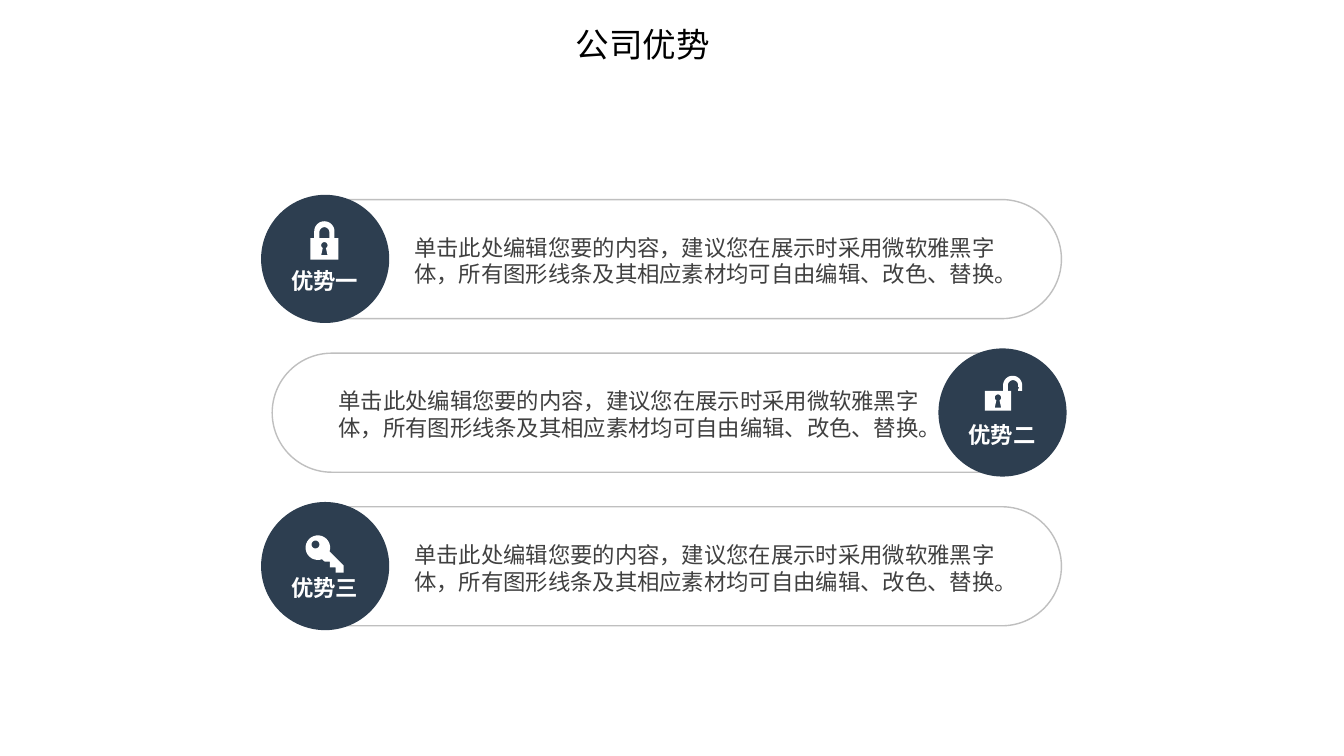
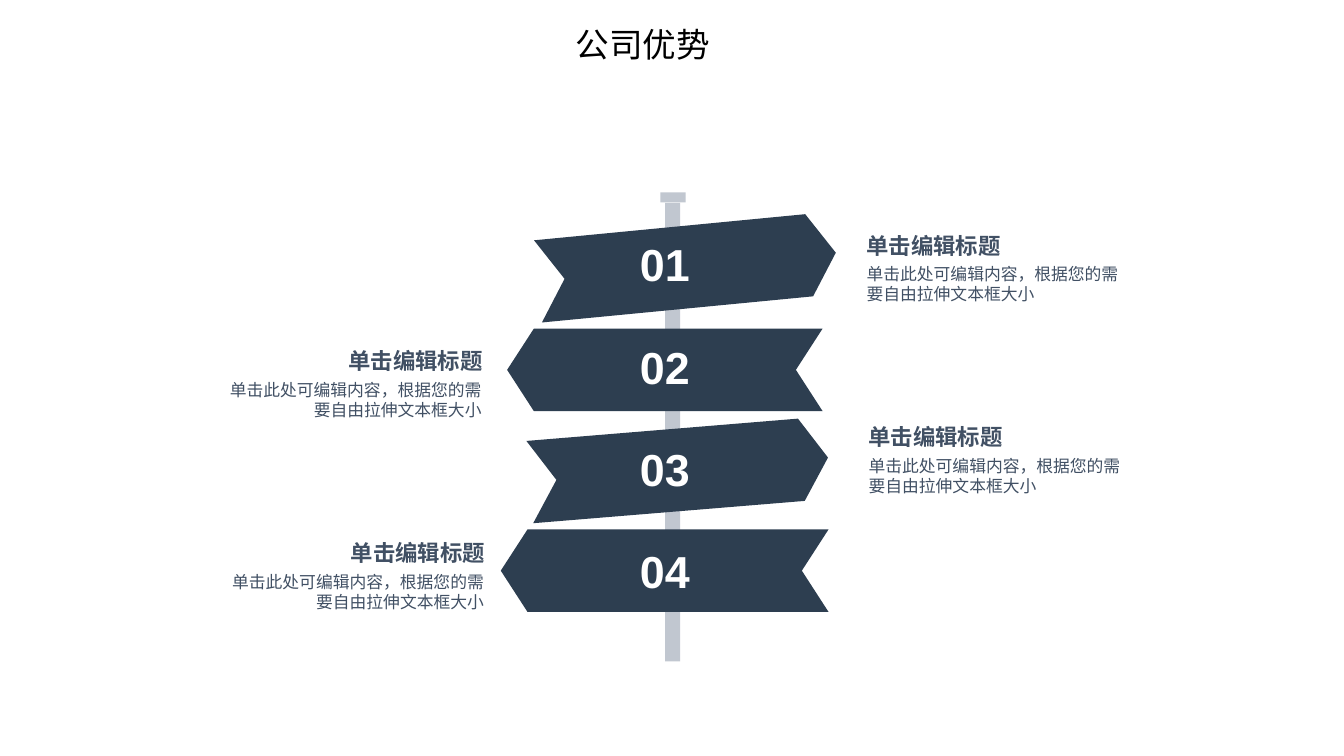
from dataclasses import dataclass
from math import cos, radians, sin

from pptx import Presentation
from pptx import util as u
from pptx.dml.color import RGBColor
from pptx.enum import shapes, text
from pptx.oxml import parse_xml
from pptx.oxml.ns import nsdecls


@dataclass(frozen=True)
class Theme:
    """Colours, fonts and type sizes of the deck."""

    navy: str = "2D3E50"
    slate: str = "415064"
    grey: str = "C1C7D0"
    rule: str = "BFBFBF"
    ink: str = "404040"
    black: str = "000000"
    white: str = "FFFFFF"
    latin: str = "Arial"
    han: str = "Noto Sans CJK SC"
    title: int = 24
    label: int = 16
    small: int = 12
    digit: int = 32


T = Theme()
KIND = shapes.MSO_SHAPE
LEFT, MID, RIGHT = text.PP_ALIGN.LEFT, text.PP_ALIGN.CENTER, text.PP_ALIGN.RIGHT
NOTE = "单击此处编辑您要的内容，建议您在展示时采用微软雅黑字体，所有图形线条及其相应素材均可自由编辑、改色、替换。"
HINT = "单击此处可编辑内容，根据您的需要自由拉伸文本框大小"


def place(x, y, w, h):
    """Turn centimetres into a position and a size."""
    return [u.Cm(n) for n in (x, y, w, h)]


def write(frame, words, size=T.label, color=T.ink, font=T.latin, bold=False, align=LEFT):
    """Set one formatted paragraph in a text frame."""
    frame.word_wrap = True
    frame.vertical_anchor = text.MSO_ANCHOR.TOP
    par = frame.paragraphs[0]
    par.alignment = align
    run = par.add_run()
    run.text = words
    run.font.size = u.Pt(size)
    run.font.bold = bold
    run.font.name = font
    run.font.color.rgb = RGBColor.from_string(color)
    east = parse_xml(f'<a:ea {nsdecls("a")} typeface="{T.han}"/>')
    run.font._element.append(east)


def label(pool, box, words, **form):
    """Add a text box without insets."""
    frame = pool.add_textbox(*place(*box)).text_frame
    frame.margin_left = frame.margin_right = 0
    frame.margin_top = frame.margin_bottom = 0
    write(frame, words, **form)


def paint(item, fill=None, line=None):
    """Give a shape its fill and outline, without a shadow."""
    item.shadow.inherit = False
    if fill:
        item.fill.solid()
        item.fill.fore_color.rgb = RGBColor.from_string(fill)
    else:
        item.fill.background()
    if line:
        item.line.color.rgb = RGBColor.from_string(line)
        item.line.width = u.Pt(1)
    else:
        item.line.fill.background()


def form(pool, kind, box, fill=None, line=None):
    """Add a painted preset shape."""
    item = pool.add_shape(kind, *place(*box))
    paint(item, fill, line)
    return item


def arc(x, y, r, start, end, steps=24):
    """List points on a circular arc, in degrees."""
    turns = [radians(start + (end - start) * i / steps) for i in range(steps + 1)]
    return [(x + r * cos(t), y + r * sin(t)) for t in turns]


def slot(x, y):
    """Outline a keyhole around its upper centre."""
    return arc(x, y, 0.08, 120, 420) + [(x + 0.08, y + 0.25), (x - 0.08, y + 0.25)]


def lock():
    """Outline a closed padlock."""
    body = [(0, 0.97), (0, 0.43), (0.1, 0.43)] + arc(0.355, 0.26, 0.255, 180, 360)
    body += [(0.61, 0.43), (0.71, 0.43), (0.71, 0.97)]
    gap = [(0.23, 0.43)] + arc(0.355, 0.28, 0.125, 180, 360) + [(0.48, 0.43)]
    return [body, gap, slot(0.355, 0.61)]


def unlock():
    """Outline an open padlock."""
    body = [(0, 0.88), (0, 0.38), (0.46, 0.38)] + arc(0.7, 0.24, 0.24, 180, 360)
    body += [(0.94, 0.38), (0.84, 0.38), (0.84, 0.33), (0.87, 0.3), (0.84, 0.28)]
    body += arc(0.71, 0.24, 0.13, 360, 180) + [(0.58, 0.38), (0.66, 0.38), (0.66, 0.88)]
    return [body, slot(0.33, 0.55)]


def key():
    """Outline a key."""
    body = arc(0.31, 0.31, 0.31, 18, -290)
    body += [(0.48, 0.66), (0.61, 0.66), (0.61, 0.81), (0.76, 0.81)]
    body += [(0.76, 0.94), (0.96, 0.94), (0.96, 0.76)]
    return [body, arc(0.25, 0.23, 0.1, 0, 360)]


def icon(pool, x, y, rings):
    """Draw closed outlines as one white shape."""
    rings = [[(a * 1000, b * 1000) for a, b in ring] for ring in rings]
    pen = pool.build_freeform(*rings[0][0], scale=u.Cm(1) / 1000)
    for i, ring in enumerate(rings):
        if i:
            pen.move_to(*ring[0])
        pen.add_line_segments(ring[1:], close=True)
    paint(pen.convert_to_shape(u.Cm(x), u.Cm(y)), T.white)


def badge(page, x, y, words, rings, dx, dy):
    """Group a disc with its icon and label."""
    pool = page.shapes.add_group_shape().shapes
    form(pool, KIND.OVAL, (x, y, 3.23, 3.23), T.navy)
    label(pool, (x + 0.42, y + 1.83, 2.36, 0.69), words,
          color=T.white, bold=True, align=MID)
    icon(pool, x + dx, y + dy, rings)


def start(deck):
    """Add a slide with the shared title."""
    page = deck.slides.add_slide(deck.slide_layouts[5])
    head = page.shapes.title
    head.left, head.top, head.width, head.height = place(14.25, 0.48, 8.36, 1.27)
    write(head.text_frame, "公司优势", size=T.title, color=T.black, font=T.han)
    return page


def pills(deck):
    """Build the slide of three advantages."""
    page = start(deck)
    rows = [
        (6.58, 10.44, "优势一", lock(), 1.24, 0.66),
        (23.65, 8.53, "优势二", unlock(), 1.17, 0.69),
        (6.58, 10.44, "优势三", key(), 1.12, 0.84),
    ]
    for i, (disc, left, words, rings, dx, dy) in enumerate(rows):
        y = 5.03 + 3.87 * i
        pill = form(page.shapes, KIND.ROUNDED_RECTANGLE, (6.86, y, 19.89, 3), line=T.rule)
        pill.adjustments[0] = 0.5
        label(page.shapes, (left, y + 0.86, 14.86, 1.37), NOTE, font=T.han)
        badge(page, disc, y - 0.12, words, rings, dx, dy)


def signs(deck):
    """Build the slide with the signpost."""
    page = start(deck)
    post = page.shapes.add_group_shape().shapes
    for box in ((16.76, 5.11, 0.38, 11.56), (16.64, 4.85, 0.64, 0.25)):
        form(post, KIND.RECTANGLE, box, T.grey)
    rows = [
        (13.54, 5.69, 7.54, -5.5, 21.84, 5.84, LEFT),
        (12.78, 8.28, 7.95, 180, 5.66, 8.76, RIGHT),
        (13.34, 10.8, 7.54, -4.7, 21.89, 10.67, LEFT),
        (12.62, 13.34, 8.26, 180, 5.72, 13.59, RIGHT),
    ]
    for i, (x, y, w, turn, left, top, side) in enumerate(rows):
        sign = form(page.shapes, KIND.NOTCHED_RIGHT_ARROW, (x, y, w, 2.08), T.navy)
        sign.adjustments[0], sign.adjustments[1] = 1, 0.324
        sign.rotation = turn
        label(page.shapes, (15.42, 5.97 + 2.58 * i, 2.67, 1.37), f"{i + 1:02}",
              size=T.digit, color=T.white, bold=True, align=MID)
        label(page.shapes, (left, top, 6.5, 0.69), "单击编辑标题",
              color=T.slate, bold=True, align=side)
        label(page.shapes, (left, top + 0.81, 6.48, 1.02), HINT,
              size=T.small, color=T.slate, align=side)


def main():
    """Build and save the deck."""
    deck = Presentation()
    deck.slide_width, deck.slide_height = u.Cm(33.87), u.Cm(19.05)
    pills(deck)
    signs(deck)
    deck.save("out.pptx")


if __name__ == "__main__":
    main()
